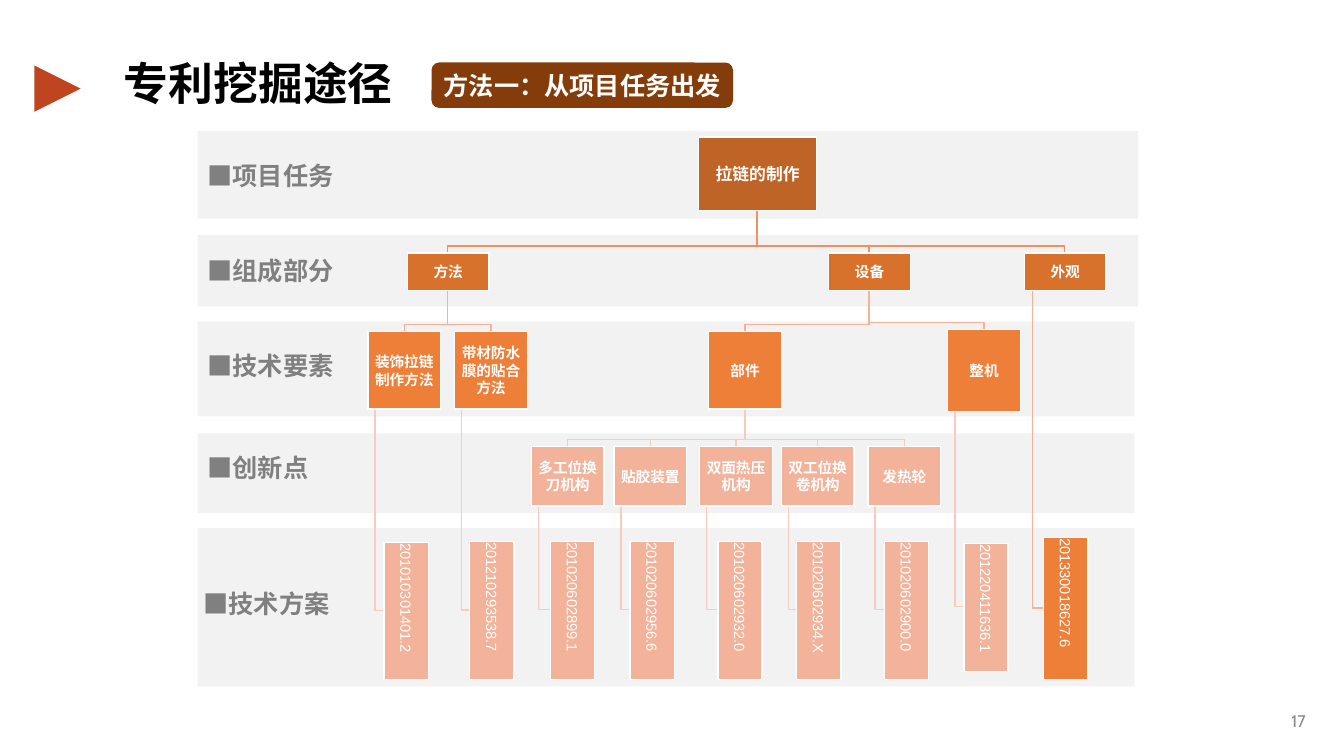
import dataclasses

import pptx
import pptx.dml.color
import pptx.enum.shapes
import pptx.enum.text
import pptx.oxml.ns
import pptx.util
from lxml import etree

PX = 9144
SHAPE = pptx.enum.shapes.MSO_SHAPE
ALIGN = pptx.enum.text.PP_ALIGN
ANCHOR = pptx.enum.text.MSO_ANCHOR


@dataclasses.dataclass(frozen=True)
class Theme:
    """Colours, fonts and type sizes of the slide."""
    cjk: str = "Noto Sans CJK SC"
    digits: str = "Arial"
    footer: str = "Cabin"
    title_size: float = 32
    label_size: float = 18
    root_size: float = 12
    node_size: float = 10.5
    page_size: float = 12
    black: str = "000000"
    white: str = "FFFFFF"
    band: str = "F2F2F2"
    label: str = "808080"
    page: str = "898989"
    badge: str = "843C0B"
    mark: str = "BF4521"
    task: str = "BE6427"
    component: str = "D7712C"
    element: str = "ED7F39"
    idea: str = "F3B29A"
    links: tuple = ("EF9166", "F3B29A", "F6CCBE", "F6CCBE")


@dataclasses.dataclass
class Node:
    """A box of the tree, its children, and whether it is a patent number."""
    text: str
    box: tuple
    fill: str
    children: list = dataclasses.field(default_factory=list)
    patent: bool = False


T = Theme()


def px(*values):
    """Turn px lengths into EMU."""
    return [v * PX for v in values]


def rgb(code):
    """Return the colour of a hex code."""
    return pptx.dml.color.RGBColor.from_string(code)


def write(s, text, size, color, font=T.cjk, bold=True, align=ALIGN.LEFT,
          anchor=ANCHOR.MIDDLE, wrap=True, inset=None):
    """Write one paragraph into a shape and return the paragraph."""
    tf = s.text_frame
    tf.word_wrap = wrap
    tf.vertical_anchor = anchor
    if inset is not None:
        tf.margin_left = tf.margin_top = tf.margin_right = tf.margin_bottom = inset * PX
    p = tf.paragraphs[0]
    p.text = text
    p.alignment = align
    p.font.size = pptx.util.Pt(size)
    p.font.bold = bold
    p.font.name = font
    p.font.color.rgb = rgb(color)
    props = p._p.pPr.find(pptx.oxml.ns.qn("a:defRPr"))
    etree.SubElement(props, pptx.oxml.ns.qn("a:ea")).set("typeface", font)
    return p


def add_block(slide, box, fill, kind=SHAPE.RECTANGLE, line=None):
    """Add a flat filled shape."""
    s = slide.shapes.add_shape(kind, *px(*box))
    s.shadow.inherit = False
    s.fill.solid()
    s.fill.fore_color.rgb = rgb(fill)
    if line:
        s.line.color.rgb = rgb(line)
        s.line.width = pptx.util.Pt(1)
    else:
        s.line.fill.background()
    return s


def add_header(slide, box):
    """Place the mark, the title and the method badge in the header box."""
    x, y, w, h = box
    mark = add_block(slide, (x, y + 4, 46, 46), T.mark, SHAPE.ISOSCELES_TRIANGLE)
    mark.rotation = 90
    title = slide.shapes.add_textbox(*px(x + 79, y, 287, h))
    p = write(title, "专利挖掘途径", T.title_size, T.black, anchor=ANCHOR.TOP, wrap=False)
    p.line_spacing = 0.8
    badge = add_block(slide, (x + w - 299, y + 1, 299, 45), T.badge, SHAPE.ROUNDED_RECTANGLE)
    write(badge, "方法一：从项目任务出发", T.label_size, T.white, wrap=False)


def add_band(slide, box, label, dx, dy):
    """Place a grey band with its label at an offset inside it."""
    x, y, w, h = box
    add_block(slide, box, T.band)
    s = slide.shapes.add_textbox(*px(x + dx, y + dy, 216, 40))
    write(s, label, T.label_size, T.label)


def add_link(slide, points, color):
    """Draw an open bent line through the points."""
    builder = slide.shapes.build_freeform(*points[0], scale=PX)
    builder.add_line_segments(points[1:], close=False)
    s = builder.convert_to_shape()
    s.shadow.inherit = False
    s.fill.background()
    s.line.color.rgb = rgb(color)
    s.line.width = pptx.util.Pt(1)


def add_links(slide, node, depth=0):
    """Link a node to its children, forking to boxes and hanging patents."""
    x, y, w, h = node.box
    for child in node.children:
        cx, cy, cw, ch = child.box
        if child.patent:
            stem, mid = x + w // 10, cy + ch // 2
            points = [(stem, y + h), (stem, mid), (cx, mid)]
        else:
            stem, mid = x + w // 2, cx + cw // 2
            points = [(stem, y + h), (stem, cy - 7), (mid, cy - 7), (mid, cy)]
        add_link(slide, points, T.links[depth])
        add_links(slide, child, depth + 1)


def add_nodes(slide, node, size=T.node_size):
    """Draw a node and everything below it."""
    s = add_block(slide, node.box, node.fill, line=T.white)
    write(s, node.text, size, T.white, T.digits if node.patent else T.cjk,
          not node.patent, ALIGN.CENTER, inset=1)
    if node.patent:
        s.text_frame._txBody.bodyPr.set("vert", "eaVert")
    for child in node.children:
        add_nodes(slide, child)


def patent(number, x, y=537, h=137, fill=T.idea):
    """Return an upright patent box."""
    return Node(number, (x, y, 44, h), fill, patent=True)


def component(text, x, *children):
    """Return a component box."""
    return Node(text, (x, 251, 81, 37), T.component, list(children))


def element(text, x, *children, y=329, h=77):
    """Return a technical element box."""
    return Node(text, (x, y, 72, h), T.element, list(children))


def idea(text, x, number, patent_x):
    """Return an innovation box with its patent."""
    return Node(text, (x, 443, 72, 59), T.idea, [patent(number, patent_x)])


def build_tree():
    """Return the tree from the task down to the patents."""
    ideas = [idea(*row) for row in (
        ("多工位换刀机构", 527, "201020602899.1", 546),
        ("贴胶装置", 609, "201020602956.6", 625),
        ("双面热压机构", 694, "201020602932.0", 712),
        ("双工位换卷机构", 775, "201020602934.X", 790),
        ("发热轮", 861, "201020602900.0", 877))]
    method = component(
        "方法", 404,
        element("装饰拉链制作方法", 365, patent("201010301401.2", 381, 538, 136)),
        element("带材防水膜的贴合方法", 451, patent("201210293538.7", 466)))
    device = component(
        "设备", 822,
        element("部件", 703, *ideas),
        element("整机", 940, patent("201220411636.1", 956, 539, 127), y=327, h=81))
    look = component("外观", 1016, patent("201330018627.6", 1035, 533, 141, T.element))
    return Node("拉链的制作", (693, 136, 117, 73), T.task, [method, device, look])


def add_page_number(slide, box):
    """Place the page number at the right of its box."""
    s = slide.shapes.add_textbox(*px(*box))
    write(s, "17", T.page_size, T.page, T.footer, False, ALIGN.RIGHT)


def main():
    """Build and save the slide."""
    prs = pptx.Presentation()
    prs.slide_width, prs.slide_height = px(1333, 750)
    slide = prs.slides.add_slide(prs.slide_layouts[6])
    for label, y, w, h, dx, dy in (
            ("■项目任务", 130, 933, 87, 0, 24),
            ("■组成部分", 233, 933, 71, 0, 15),
            ("■技术要素", 319, 929, 94, 0, 24),
            ("■创新点", 430, 929, 79, 0, 14),
            ("■技术方案", 524, 929, 157, -4, 55)):
        add_band(slide, (196, y, w, h), label, dx, dy)
    tree = build_tree()
    add_links(slide, tree)
    add_nodes(slide, tree, T.root_size)
    add_header(slide, (34, 61, 693, 53))
    add_page_number(slide, (1005, 695, 300, 40))
    prs.save("out.pptx")


if __name__ == "__main__":
    main()
